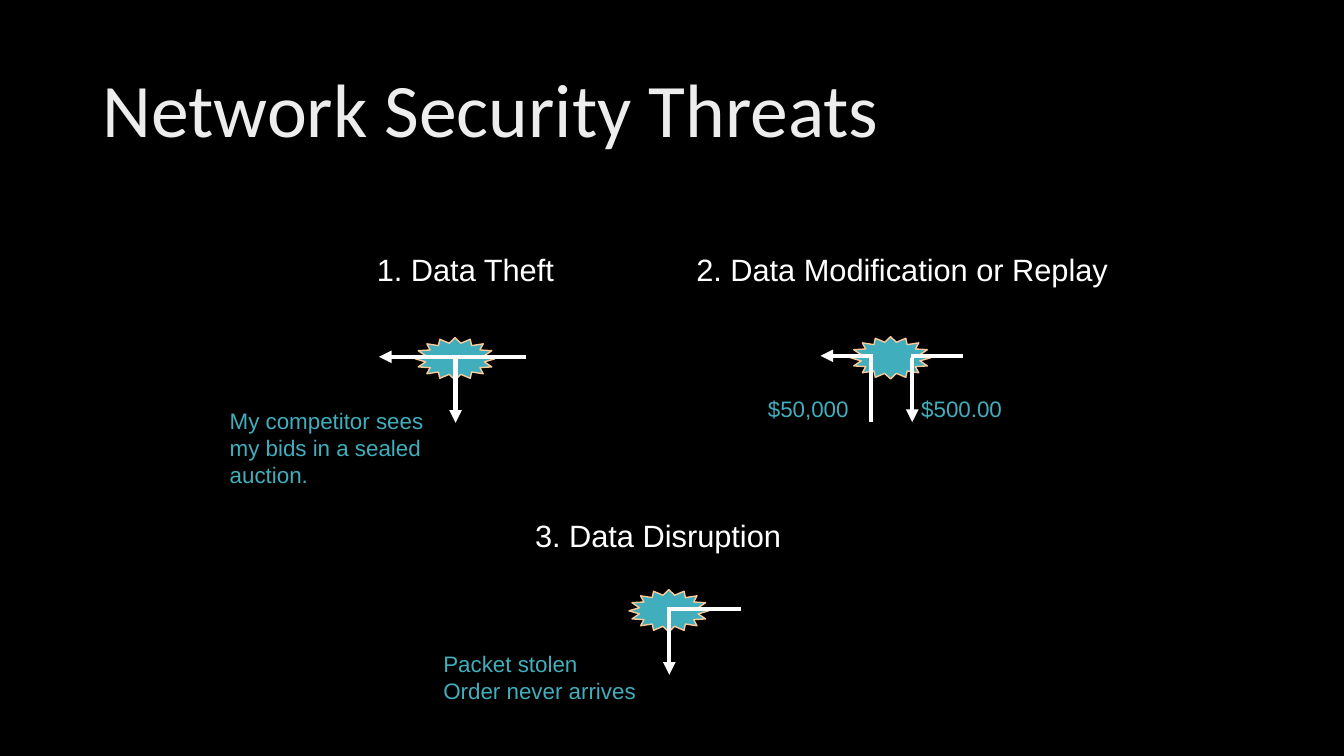
from lxml.etree import SubElement
from pptx import Presentation
from pptx.dml.color import RGBColor
from pptx.enum.shapes import MSO_CONNECTOR as Connector, MSO_SHAPE as Preset
from pptx.enum.text import MSO_ANCHOR as Anchor, MSO_AUTO_SIZE as AutoSize
from pptx.oxml.ns import qn
from pptx.util import Pt

COLORS = {
    "background": "000000",
    "title": "EDEDED",
    "white": "FFFFFF",
    "teal": "41AEBD",
    "peach": "FBCA98",
}


def color(name):
    """Return the named colour."""
    return RGBColor.from_string(COLORS[name])


def add_text(slide, text, left, top, width, height, *, size=22, fill="white",
             font="Arial", wrap=True, anchor=Anchor.TOP, spacing=None):
    """Add a text box with one formatted paragraph."""
    box = slide.shapes.add_textbox(Pt(left), Pt(top), Pt(width), Pt(height))
    frame = box.text_frame
    frame.word_wrap = wrap
    frame.vertical_anchor = anchor
    frame.auto_size = AutoSize.SHAPE_TO_FIT_TEXT if anchor == Anchor.TOP else AutoSize.NONE
    paragraph = frame.paragraphs[0]
    paragraph.text = text
    if spacing:
        paragraph.line_spacing = spacing
    for run in paragraph.runs:
        run.font.name = font
        run.font.size = Pt(size)
        run.font.color.rgb = color(fill)


def add_caption(slide, text, left, top, width, height):
    """Add a small teal caption."""
    add_text(slide, text, left, top, width, height, size=16, fill="teal")


def add_burst(slide, left, top):
    """Add the star that marks an attack."""
    burst = slide.shapes.add_shape(Preset.STAR_16_POINT, Pt(left), Pt(top), Pt(56.9), Pt(30.2))
    burst.shadow.inherit = False
    burst.fill.solid()
    burst.fill.fore_color.rgb = color("teal")
    burst.line.color.rgb = color("peach")
    burst.line.width = Pt(1)


def add_line(slide, start, end, arrow=False):
    """Add a thick white line, with an arrowhead at its end if asked."""
    line = slide.shapes.add_connector(Connector.STRAIGHT, *map(Pt, start + end))
    line.line.color.rgb = color("white")
    line.line.width = Pt(3)
    if arrow:
        SubElement(line.line._get_or_add_ln(), qn("a:tailEnd"), type="triangle")
    SubElement(line._element.spPr, qn("a:effectLst"))


def add_flow(slide, right, left, y, arrow=False):
    """Add a horizontal line that runs from right to left."""
    add_line(slide, (right, y), (left, y), arrow)


def add_branch(slide, x, top, arrow=False):
    """Add a vertical line that runs downwards."""
    add_line(slide, (x, top), (x, top + 45.7), arrow)


def add_theft(slide):
    """Draw the data theft threat."""
    add_text(slide, "1. Data Theft", 262.1, 154.1, 151.9, 79.9,
             anchor=Anchor.MIDDLE, spacing=0.85)
    add_burst(slide, 296.6, 241.2)
    add_caption(slide, "My competitor sees my bids in a sealed auction.",
                157, 287.3, 154.1, 64.8)
    add_flow(slide, 375.8, 270.7, 254.9, arrow=True)
    add_branch(slide, 325.4, 256.3, arrow=True)


def add_modification(slide):
    """Draw the data modification threat."""
    add_text(slide, "2. Data Modification or Replay", 490.3, 175.7, 312.5, 33.8, wrap=False)
    add_burst(slide, 607.7, 240.5)
    for amount, left in (("$50,000", 541.4), ("$500.00", 650.9)):
        add_caption(slide, amount, left, 278.6, 87.8, 26.6)
    add_flow(slide, 687.6, 650.9, 254.2)
    add_branch(slide, 651.6, 255.8, arrow=True)
    add_flow(slide, 623.5, 586.1, 254.2, arrow=True)
    add_branch(slide, 622.1, 255.8)


def add_disruption(slide):
    """Draw the data disruption threat."""
    add_text(slide, "3. Data Disruption", 375.1, 365.8, 193, 33.8, wrap=False)
    add_burst(slide, 449.3, 421.2)
    add_caption(slide, "Packet stolen\nOrder never arrives", 309.6, 460.8, 162, 46.1)
    add_flow(slide, 529.2, 476.6, 434.9)
    add_branch(slide, 478.1, 436.3, arrow=True)


def main():
    """Build and save the slide."""
    presentation = Presentation()
    presentation.slide_width, presentation.slide_height = Pt(960), Pt(540)
    slide = presentation.slides.add_slide(presentation.slide_layouts[6])
    slide.background.fill.solid()
    slide.background.fill.fore_color.rgb = color("background")
    add_text(slide, "Network Security Threats", 66.2, 28.8, 828, 104.4, size=54,
             fill="title", font="Calibri", anchor=Anchor.MIDDLE, spacing=0.9)
    add_theft(slide)
    add_modification(slide)
    add_disruption(slide)
    presentation.save("out.pptx")


if __name__ == "__main__":
    main()
